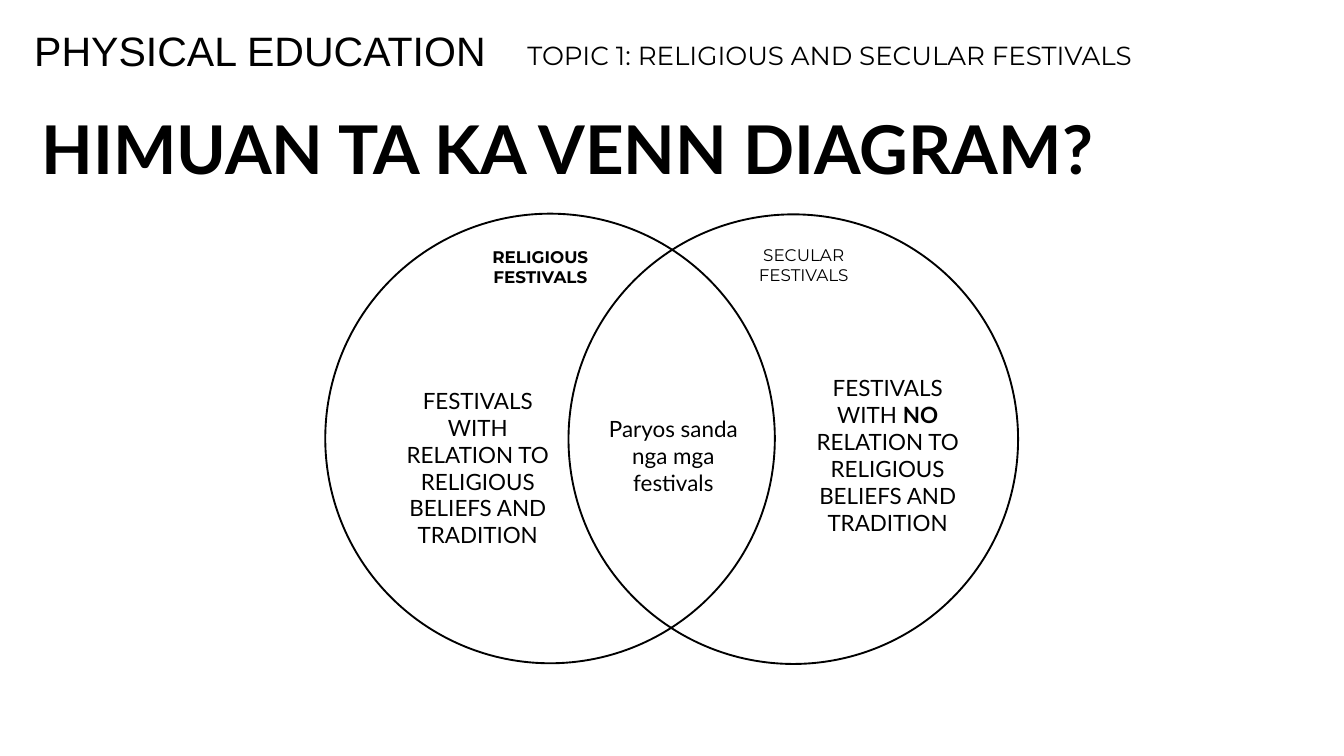
"""Builds a slide with a Venn diagram of religious and secular festivals."""
from typing import Any, NamedTuple

from pptx import Presentation
from pptx.dml.color import RGBColor
from pptx.enum.shapes import MSO_SHAPE
from pptx.enum.text import MSO_ANCHOR, PP_ALIGN
from pptx.util import Inches, Pt

OVAL = MSO_SHAPE.OVAL
TOP = MSO_ANCHOR.TOP
LEFT = PP_ALIGN.LEFT
MID = PP_ALIGN.CENTER
BLACK = "000000"
WHITE = "FFFFFF"
SIZE = 6.69
WIDE = 2.5


class Label(NamedTuple):
    text: str
    left: float
    top: float
    width: float
    height: float
    size: int
    font: str
    bold: bool = False
    align: PP_ALIGN = MID
    pad: bool = True
    strong: str = ""
    rest: str = ""
    line: float = 1.0
    after: int = 0


class Ring(NamedTuple):
    left: float
    top: float


LABELS = [
    Label("PHYSICAL EDUCATION", 0.51, 0.38, 7.24, 0.74, 44, "Arial",
          align=LEFT, pad=False),
    Label("TOPIC 1: RELIGIOUS AND SECULAR FESTIVALS", 7.75, 0.54, 11.74, 0.57,
          28, "Montserrat", align=LEFT),
    Label("HIMUAN TA KA VENN DIAGRAM?", 0.52, 1.46, 17, 1.3, 72, "Lato",
          bold=True, align=LEFT, line=1.07, after=8),
    Label("RELIGIOUS FESTIVALS", 6.79, 3.62, WIDE, 0.71, 18, "Montserrat",
          bold=True),
    Label("SECULAR FESTIVALS", 10.71, 3.59, WIDE, 0.71, 18, "Montserrat"),
    Label("Paryos sanda nga mga festivals", 8.77, 6.13, WIDE, 1.31, 24, "Lato"),
    Label("FESTIVALS WITH ", 11.96, 5.52, WIDE, 2.52, 24, "Lato", strong="NO",
          rest=" RELATION TO RELIGIOUS BELIEFS AND TRADITION"),
    Label("FESTIVALS WITH RELATION TO RELIGIOUS BELIEFS AND TRADITION",
          5.86, 5.71, WIDE, 2.52, 24, "Lato"),
]
RINGS = [Ring(4.84, 3.18), Ring(8.46, 3.19)]


def paint(fill: Any, color: str) -> None:
    """Give a fill one solid hex colour."""
    fill.solid()
    fill.fore_color.rgb = RGBColor.from_string(color)


def draw_ring(slide: Any, ring: Ring) -> None:
    """Draw one open circle of the diagram."""
    shape = slide.shapes.add_shape(
        OVAL, Inches(ring.left), Inches(ring.top), Inches(SIZE), Inches(SIZE))
    shape.shadow.inherit = False
    shape.fill.background()
    paint(shape.line.fill, BLACK)
    shape.line.width = Pt(2)


def draw_label(slide: Any, label: Label) -> None:
    """Draw one wrapped text box, with a bold word where given."""
    box = slide.shapes.add_textbox(
        Inches(label.left), Inches(label.top),
        Inches(label.width), Inches(label.height))
    frame = box.text_frame
    frame.word_wrap = True
    frame.vertical_anchor = TOP
    if not label.pad:
        frame.margin_left = frame.margin_right = Inches(0)
        frame.margin_top = frame.margin_bottom = Inches(0)
    para = frame.paragraphs[0]
    para.alignment = label.align
    para.line_spacing = label.line
    para.space_after = Pt(label.after)
    para.add_run().text = label.text
    if label.strong:
        word = para.add_run()
        word.text = label.strong
        word.font.bold = True
        para.add_run().text = label.rest
    para.font.size = Pt(label.size)
    para.font.name = label.font
    para.font.bold = label.bold
    paint(para.font.fill, BLACK)


def main() -> None:
    """Build the slide and save it."""
    deck = Presentation()
    deck.slide_width = Inches(20)
    deck.slide_height = Inches(11.25)
    slide = deck.slides.add_slide(deck.slide_layouts[6])
    paint(slide.background.fill, WHITE)
    for ring in RINGS:
        draw_ring(slide, ring)
    for label in LABELS:
        draw_label(slide, label)
    deck.save("out.pptx")


if __name__ == "__main__":
    main()
